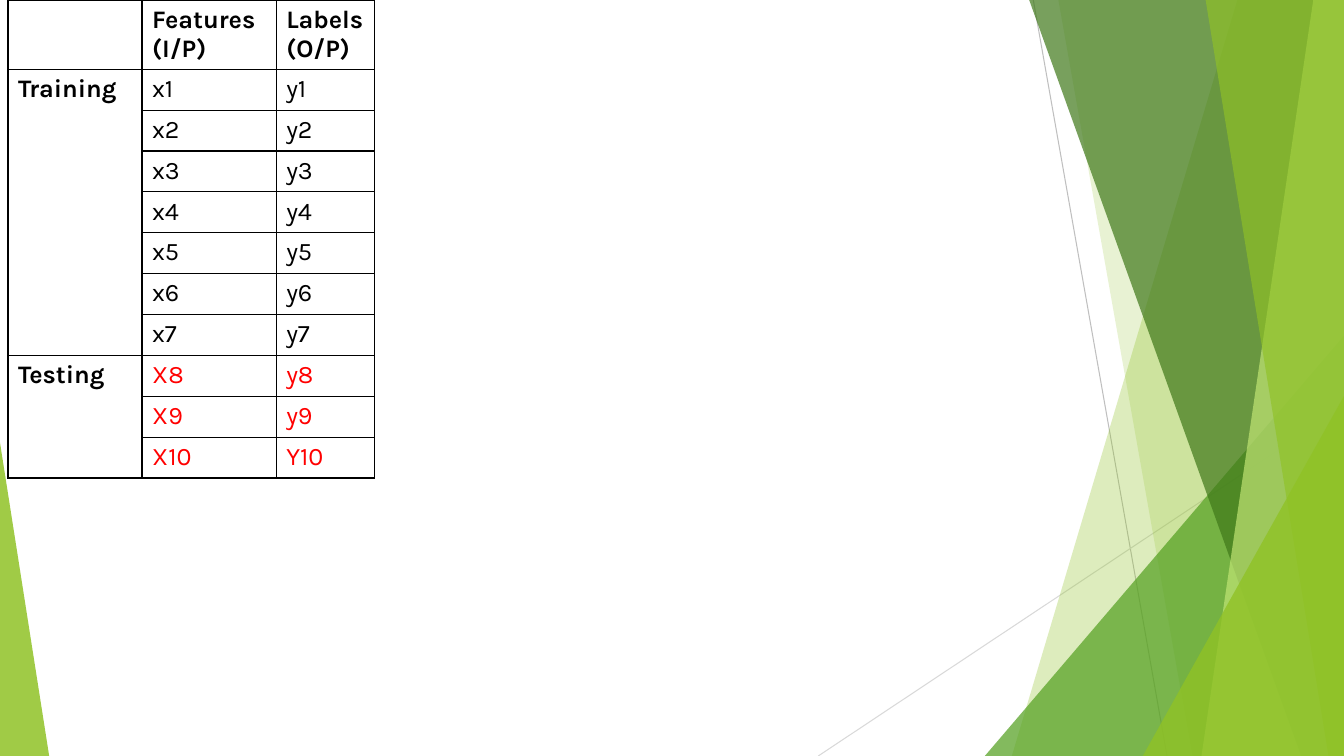
from lxml import etree
from pptx import Presentation
from pptx import oxml
from pptx.dml import color
from pptx.enum import shapes
from pptx.oxml import ns
from pptx.util import Cm, Pt

COLOURS = {
    "lime": "90C226", "green": "54A021", "forest": "3F7819", "pale": "C0E474",
    "grey": "BFBFBF", "light grey": "D9D9D9", "black": "000000", "red": "FF0000",
}
WIDTH, HEIGHT, TOP = 33.87, 19.05, -0.02

RAYS = [
    ((26.04, 0), (29.41, HEIGHT), "grey"),
    ((WIDTH, 10.24), (20.62, HEIGHT), "light grey"),
]
# Bands: x at the top, x at the bottom, colour, opacity in percent
BACK_BANDS = [(31.19, 25.5, "lime", 30), (26.67, 30.05, "lime", 20)]
FRONT_BANDS = [
    (25.93, 32.79, "forest", 70),
    (33.1, 30.28, "pale", 70),
    (30.38, 33.48, "lime", 65),
]
HEADERS = ["", "Features (I/P)", "Labels (O/P)"]
GROUPS = [
    ("Training", "black", [(f"x{i}", f"y{i}") for i in range(1, 8)]),
    ("Testing", "red", [("X8", "y8"), ("X9", "y9"), ("X10", "Y10")]),
]
COLUMN_WIDTHS = [3.38, 3.38, 2.48]
HEADER_HEIGHT, ROW_HEIGHT = 1.74, 1.03


def rgb(name):
    return color.RGBColor.from_string(COLOURS[name])


def paint(facet, colour, opacity):
    """Give a facet a translucent fill without outline or shadow."""
    facet.shadow.inherit = False
    facet.line.fill.background()
    facet.fill.solid()
    facet.fill.fore_color.rgb = rgb(colour)
    srgb = facet.fill._xPr.find(".//" + ns.qn("a:srgbClr"))
    etree.SubElement(srgb, ns.qn("a:alpha"), val=str(opacity * 1000))


def add_ray(slide, start, end, colour):
    ray = slide.shapes.add_connector(
        shapes.MSO_CONNECTOR.STRAIGHT, *map(Cm, start + end))
    ray.line.width = Pt(0.75)
    ray.line.color.rgb = rgb(colour)
    etree.SubElement(ray._element.spPr, ns.qn("a:effectLst"))


def add_band(slide, top_x, bottom_x, colour, opacity):
    """Draw a full-height facet reaching the right edge of the slide."""
    outline = slide.shapes.build_freeform(Cm(top_x), Cm(TOP))
    corners = [(WIDTH, TOP), (WIDTH, HEIGHT), (bottom_x, HEIGHT)]
    outline.add_line_segments([(Cm(x), Cm(y)) for x, y in corners], close=True)
    paint(outline.convert_to_shape(), colour, opacity)


def add_corner(slide, left, top, width, apex, colour, opacity):
    """Draw a triangle on the bottom edge; apex is 0 for left, 1 for right."""
    corner = slide.shapes.add_shape(
        shapes.MSO_SHAPE.ISOSCELES_TRIANGLE,
        Cm(left), Cm(top), Cm(width), Cm(HEIGHT - top))
    corner.adjustments[0] = apex
    paint(corner, colour, opacity)


def format_cell(cell, label="", colour="black", bold=False):
    properties = cell._tc.get_or_add_tcPr()
    for side in ("lnL", "lnR", "lnT", "lnB"):
        properties.append(oxml.parse_xml(
            f'<a:{side} {ns.nsdecls("a")} w="12700"><a:solidFill>'
            f'<a:srgbClr val="{COLOURS["black"]}"/></a:solidFill></a:{side}>'))
    cell.fill.background()
    if label:
        run = cell.text_frame.paragraphs[0].add_run()
        run.text = label
        font_format = {"name": "Karla", "size": Pt(18), "bold": bold}
        for attribute, value in font_format.items():
            setattr(run.font, attribute, value)
        run.font.color.rgb = rgb(colour)


def add_data_split(slide):
    row_count = 1 + sum(len(pairs) for _, _, pairs in GROUPS)
    split = slide.shapes.add_table(
        row_count, len(HEADERS), Cm(0.2), Cm(0), Cm(sum(COLUMN_WIDTHS)),
        Cm(HEADER_HEIGHT + ROW_HEIGHT * (row_count - 1))).table
    split.first_row = split.horz_banding = False
    for column, width in zip(split.columns, COLUMN_WIDTHS):
        column.width = Cm(width)
    for row in split.rows:
        row.height = Cm(ROW_HEIGHT)
    split.rows[0].height = Cm(HEADER_HEIGHT)

    for column, header in enumerate(HEADERS):
        format_cell(split.cell(0, column), header, bold=True)
    first = 1
    for group, colour, pairs in GROUPS:
        last = first + len(pairs) - 1
        for row, (feature, label) in enumerate(pairs, first):
            format_cell(split.cell(row, 0), group if row == first else "", bold=True)
            format_cell(split.cell(row, 1), feature, colour)
            format_cell(split.cell(row, 2), label, colour)
        split.cell(first, 0).merge(split.cell(last, 0))
        first = last + 1


def main():
    deck = Presentation()
    deck.slide_width, deck.slide_height = Cm(WIDTH), Cm(HEIGHT)
    slide = deck.slides.add_slide(deck.slide_layouts[6])
    for ray in RAYS:
        add_ray(slide, *ray)
    for band in BACK_BANDS:
        add_band(slide, *band)
    add_corner(slide, 24.82, 8.46, WIDTH - 24.82, 1, "green", 72)
    for band in FRONT_BANDS:
        add_band(slide, *band)
    add_corner(slide, 28.8, 9.98, WIDTH - 28.8, 1, "lime", 80)
    add_corner(slide, 0, 11.15, 1.24, 0, "lime", 85)
    add_data_split(slide)
    deck.save("out.pptx")


if __name__ == "__main__":
    main()
